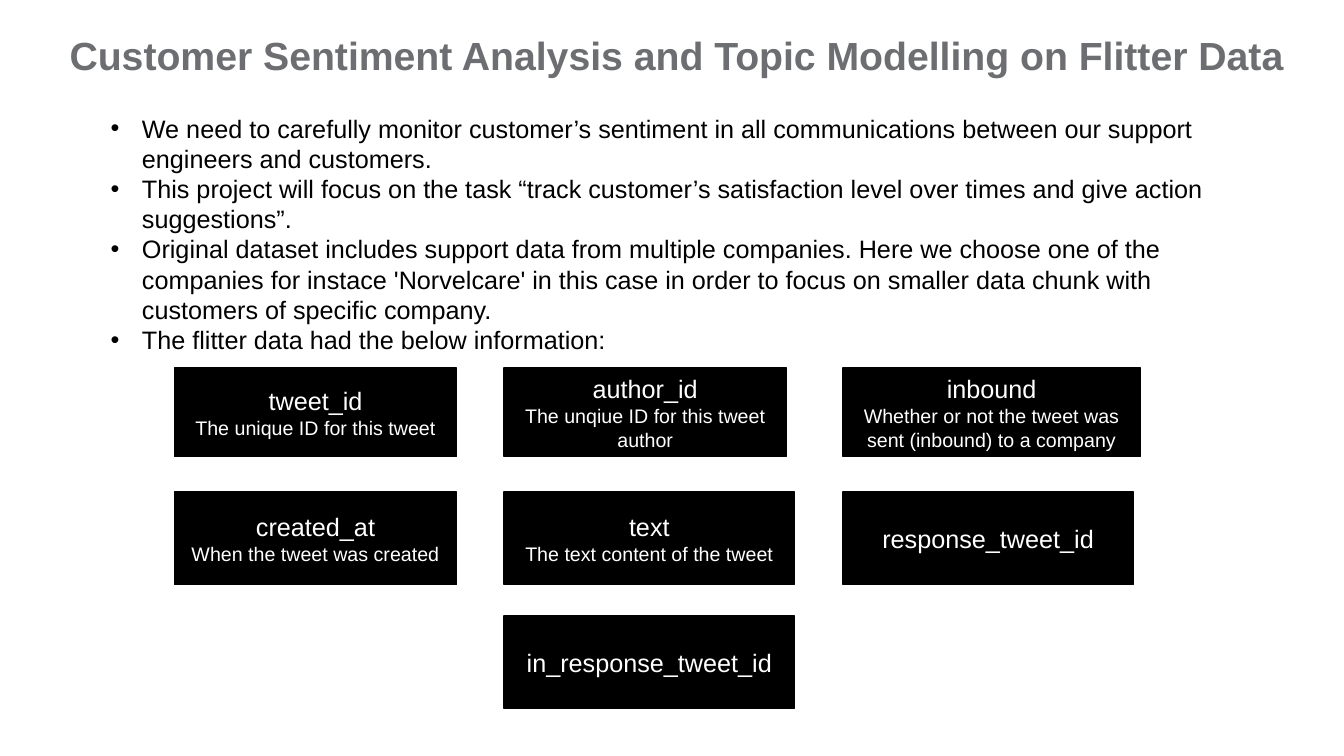
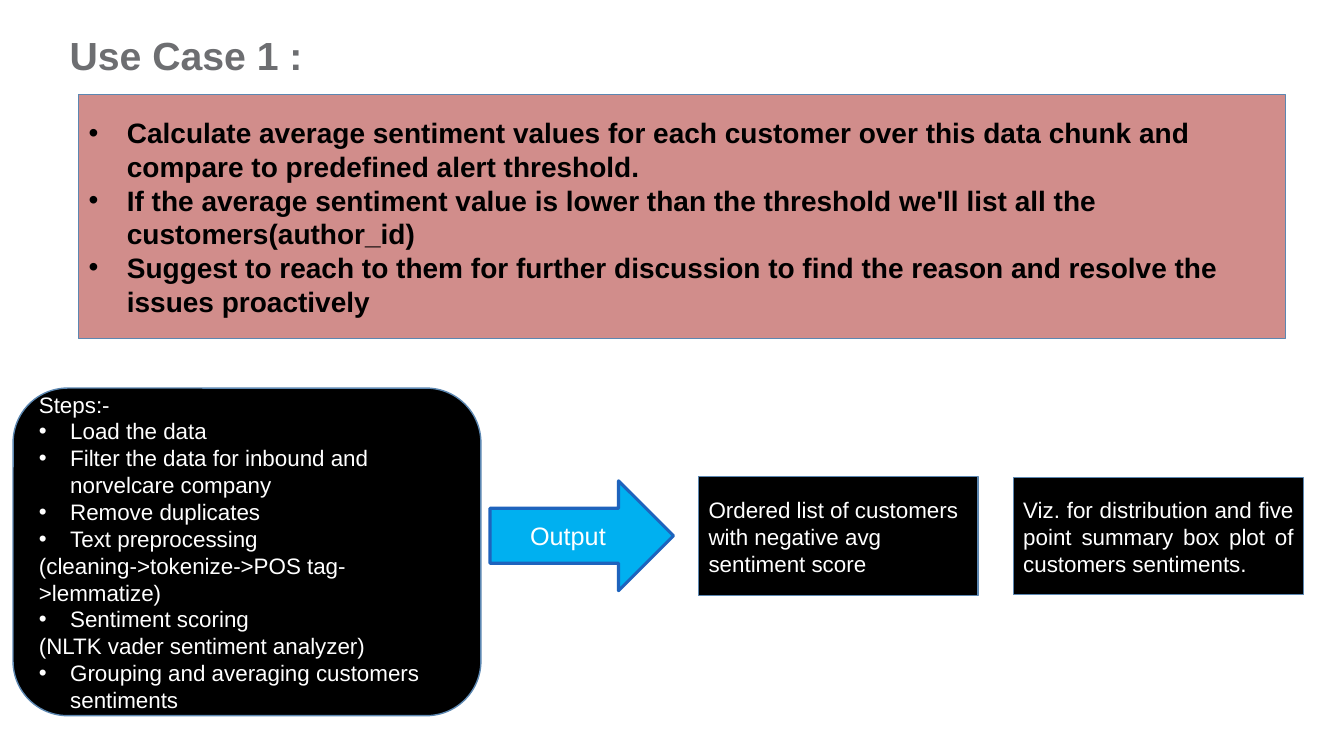
from lxml.etree import SubElement
from pptx import Presentation
from pptx.dml.color import RGBColor
from pptx.enum.shapes import MSO_SHAPE as Kind
from pptx.enum.text import MSO_ANCHOR as Anchor, MSO_AUTO_SIZE as Fit, PP_ALIGN as Align
from pptx.oxml.ns import qn
from pptx.util import Inches, Pt

FONT = "Arial"
COLORS = {
    "title": "6D6E71",
    "black": "000000",
    "white": "FFFFFF",
    "rose": "D18D8B",
    "edge": "5C87B1",
    "sky": "00B0F0",
    "navy": "1E63BD",
}

POINTS = [
    "We need to carefully monitor customer’s sentiment in all communications "
    "between our support engineers and customers.",
    "This project will focus on the task “track customer’s satisfaction level "
    "over times and give action suggestions”.",
    "Original dataset includes support data from multiple companies. Here we "
    "choose one of the companies for instace 'Norvelcare' in this case in order "
    "to focus on smaller data chunk with customers of specific company.",
    "The flitter data had the below information:",
]
# column, row, width, name, meaning
FIELDS = [
    (0, 0, 2.8, "tweet_id", "The unique ID for this tweet"),
    (1, 0, 2.8, "author_id", "The unqiue ID for this tweet author"),
    (2, 0, 2.95, "inbound", "Whether or not the tweet was sent (inbound) to a company"),
    (0, 1, 2.8, "created_at", "When the tweet was created"),
    (1, 1, 2.88, "text", "The text content of the tweet"),
    (2, 1, 2.88, "response_tweet_id", ""),
    (1, 2, 2.88, "in_response_tweet_id", ""),
]
GOALS = [
    "Calculate average sentiment values for each customer over this data chunk "
    "and compare to predefined alert threshold.",
    "If the average sentiment value is lower than the threshold we'll list all "
    "the customers(author_id)",
    "Suggest to reach to them for further discussion to find the reason and "
    "resolve the issues proactively",
]
# text, bulleted
STEPS = [
    ("Steps:-", False),
    ("Load the data", True),
    ("Filter the data for inbound and norvelcare company", True),
    ("Remove duplicates", True),
    ("Text preprocessing", True),
    ("(cleaning->tokenize->POS tag->lemmatize)", False),
    ("Sentiment scoring", True),
    ("(NLTK vader sentiment analyzer)", False),
    ("Grouping and averaging customers sentiments", True),
]


def color(name):
    return RGBColor.from_string(COLORS[name])


def place(box):
    return [Inches(n) for n in box]


def bullet(para, indent):
    props = para._p.get_or_add_pPr()
    props.set("marL", str(Inches(indent)))
    props.set("indent", str(-Inches(indent)))
    SubElement(props, qn("a:buFont"), typeface=FONT)
    SubElement(props, qn("a:buChar"), char="•")


def write(frame, lines, size, ink, bold=False, align=Align.LEFT, indent=0):
    """Fill a frame with lines; an indent makes each one a bullet."""
    frame.word_wrap = True
    for i, line in enumerate(lines):
        para = frame.paragraphs[0] if i == 0 else frame.add_paragraph()
        para.text = line
        para.alignment = align
        font = para.font
        font.name, font.size, font.bold = FONT, Pt(size), bold
        font.color.rgb = color(ink)
        if indent:
            bullet(para, indent)


def add_text(slide, box):
    frame = slide.shapes.add_textbox(*place(box)).text_frame
    frame.auto_size = Fit.SHAPE_TO_FIT_TEXT
    return frame


def add_title(slide, text, width):
    frame = add_text(slide, (0.69, 0.31, width, 0.47))
    frame.margin_left = frame.margin_right = 0
    frame.margin_top = frame.margin_bottom = 0
    write(frame, [text], 28, "title", bold=True)


def add_panel(slide, box, kind=Kind.RECTANGLE, fill="black", edge="edge", weight=1):
    shape = slide.shapes.add_shape(kind, *place(box))
    shape.shadow.inherit = False
    shape.fill.solid()
    shape.fill.fore_color.rgb = color(fill)
    shape.line.color.rgb = color(edge)
    shape.line.width = Pt(weight)
    frame = shape.text_frame
    frame.vertical_anchor = Anchor.MIDDLE
    return frame


def add_fields(slide, left, top):
    """Lay the data fields out in three columns from a top left corner."""
    shifts = (0, 3.27, 6.63)
    for col, row, width, name, note in FIELDS:
        height = 0.92 if row else 0.88
        box = (left + shifts[col], top + 1.23 * row, width, height)
        frame = add_panel(slide, box, edge="black")
        write(frame, [name, note] if note else [name], 18, "white", align=Align.CENTER)
        for para in frame.paragraphs[1:]:
            para.font.size = Pt(14)


def add_steps(slide, box):
    frame = add_panel(slide, box, Kind.ROUNDED_RECTANGLE)
    write(frame, [text for text, _ in STEPS], 16, "white")
    for para, (_, marked) in zip(frame.paragraphs, STEPS):
        if marked:
            bullet(para, 0.31)


def add_output(slide, left, middle):
    """Draw the arrow and its two results, centred on one height."""
    arrow = add_panel(slide, (left, middle - 0.55, 1.82, 1.09),
                      Kind.RIGHT_ARROW, "sky", "navy", 2.25)
    write(arrow, ["Output"], 18, "white", align=Align.CENTER)
    results = [
        (2.07, 2.77, 1.18, Align.LEFT,
         "Ordered list of customers with negative avg sentiment score"),
        (5.19, 2.88, 1.16, Align.JUSTIFY,
         "Viz. for distribution and five point summary box plot of customers sentiments."),
    ]
    for shift, width, height, align, text in results:
        frame = add_panel(slide, (left + shift, middle - height / 2, width, height))
        write(frame, [text], 16, "white", align=align)


def intro(slide):
    add_title(slide, "Customer Sentiment Analysis and Topic Modelling on Flitter Data", 12.43)
    write(add_text(slide, (1, 1.07, 11.33, 2.22)), POINTS, 18, "black", indent=0.31)
    add_fields(slide, 1.73, 3.65)


def use_case(slide):
    add_title(slide, "Use Case 1 :", 7.06)
    goals = add_panel(slide, (0.78, 0.94, 11.97, 2.42), fill="rose")
    write(goals, GOALS, 20, "black", bold=True, indent=0.38)
    add_steps(slide, (0.13, 3.85, 4.64, 3.25))
    add_output(slide, 4.86, 5.32)


def main():
    deck = Presentation()
    deck.slide_width, deck.slide_height = Inches(13.33), Inches(7.5)
    for build in (intro, use_case):
        build(deck.slides.add_slide(deck.slide_layouts[6]))
    deck.save("out.pptx")


if __name__ == "__main__":
    main()
